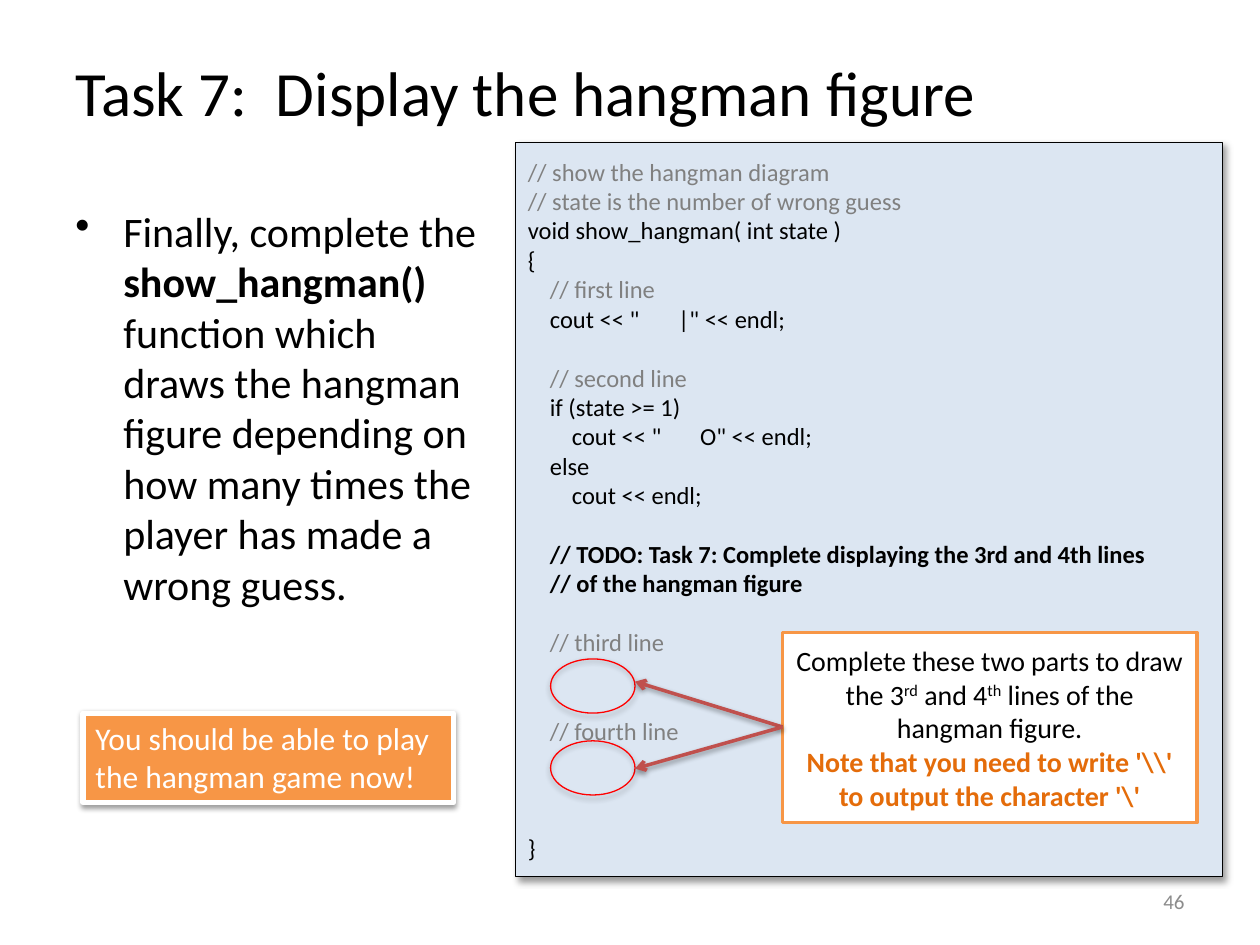
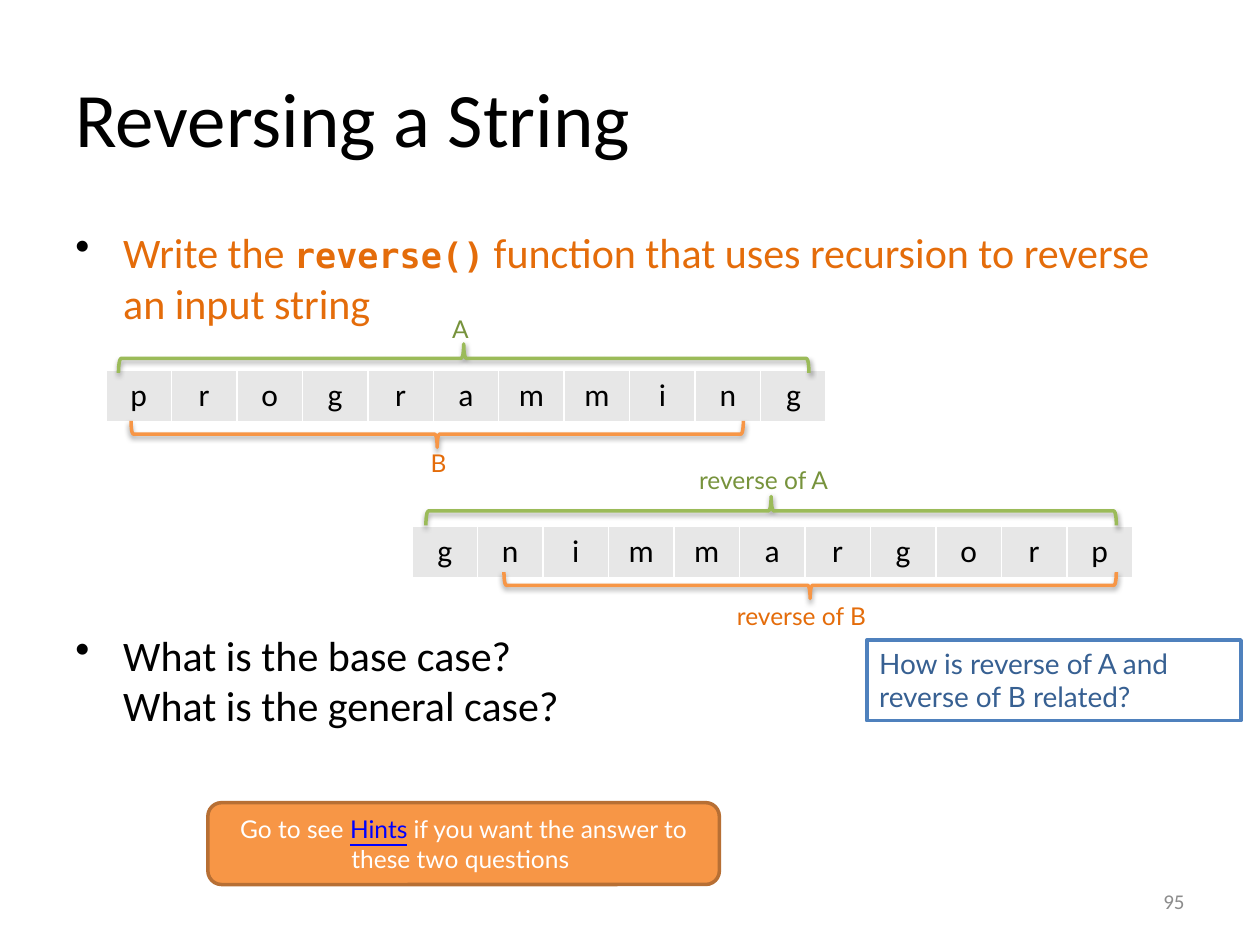
from lxml import etree
from pptx import Presentation
from pptx.dml.color import RGBColor
from pptx.enum.shapes import MSO_CONNECTOR, MSO_SHAPE
from pptx.enum.text import MSO_ANCHOR, MSO_AUTO_SIZE, PP_ALIGN
from pptx.oxml.ns import qn
from pptx.util import Inches, Pt

LEFT, CENTER, RIGHT = PP_ALIGN.LEFT, PP_ALIGN.CENTER, PP_ALIGN.RIGHT
TOP, MIDDLE = MSO_ANCHOR.TOP, MSO_ANCHOR.MIDDLE
GROW, FIXED = MSO_AUTO_SIZE.SHAPE_TO_FIT_TEXT, MSO_AUTO_SIZE.NONE
RECT, ROUND_RECT = MSO_SHAPE.RECTANGLE, MSO_SHAPE.ROUNDED_RECTANGLE
OVAL, BRACE = MSO_SHAPE.OVAL, MSO_SHAPE.LEFT_BRACE
STRAIGHT = MSO_CONNECTOR.STRAIGHT

COLORS = {
    "black": "000000",
    "white": "FFFFFF",
    "page_number": "8C8C8C",
    "comment": "808080",
    "code_fill": "DCE6F2",
    "cell_fill": "E7E7E7",
    "red": "FF0000",
    "arrow": "C0504D",
    "orange": "F79646",
    "orange_text": "E46C0A",
    "orange_edge": "B76F34",
    "green": "9BBB59",
    "green_text": "77933C",
    "blue": "4F81BD",
    "blue_text": "376092",
    "link": "0000FF",
}
BODY_FONT, LABEL_FONT, MONO_FONT = "Calibri", "Lato", "DejaVu Sans Mono"
SOFT_SHADOW = {"opacity": 38, "blur": 3.1, "distance": 1.6, "angle": 90}
OVAL_SHADOW = {"opacity": 35, "blur": 3.1, "distance": 1.8, "angle": 90}
CODE_SHADOW = {"opacity": 40, "blur": 4, "distance": 3, "angle": 45}
CODE_LINE, CODE_INDENT = 16.8, 0.175
BODY_INDENT = 0.38
CELL_SIZE = (0.52, 0.4)
WORD = "programming"

CODE = [
    (0, 0, "// show the hangman diagram", "comment"),
    (0, 0, "// state is the number of wrong guess", "comment"),
    (0, 0, "void show_hangman( int state )", "plain"),
    (0, 0, "{", "plain"),
    (0, 1, "// first line", "comment"),
    (0, 1, 'cout << "       |" << endl;', "plain"),
    (1, 1, "// second line", "comment"),
    (0, 1, "if (state >= 1)", "plain"),
    (0, 2, 'cout << "       O" << endl;', "plain"),
    (0, 1, "else", "plain"),
    (0, 2, "cout << endl;", "plain"),
    (1, 1, "// TODO: Task 7: Complete displaying the 3rd and 4th lines", "task"),
    (0, 1, "// of the hangman figure", "task"),
    (1, 1, "// third line", "comment"),
    (2, 1, "// fourth line", "comment"),
    (3, 0, "}", "plain"),
]
CODE_STYLES = {
    "plain": {},
    "comment": {"color": "comment"},
    "task": {"bold": True},
}


def rgb(color):
    return RGBColor.from_string(COLORS[color])


def area(left, top, width, height):
    return [Inches(value) for value in (left, top, width, height)]


def add_child(parent, tag, **attributes):
    child = etree.SubElement(parent, qn(tag))
    for name, value in attributes.items():
        child.set(name, str(value))
    return child


def font(size, color="black", name=BODY_FONT, **extra):
    return {"size": Pt(size), "color": color, "name": name, **extra}


def span(text, **changes):
    return text, changes


def para(*spans, **layout):
    return spans, layout


def format_run(run, values):
    for name, value in values.items():
        if name == "color":
            run.font.color.rgb = rgb(value)
        elif name == "baseline":
            run._r.get_or_add_rPr().set("baseline", str(value * 1000))
        else:
            setattr(run.font, name, value)


def format_para(paragraph, margin=0, bullet=False, **values):
    for name, value in values.items():
        setattr(paragraph, name, value)
    properties = paragraph._p.get_or_add_pPr()
    properties.set("marL", str(Inches(margin)))
    properties.set("indent", str(-Inches(margin) if bullet else 0))
    if bullet:
        color = add_child(properties, "a:buClr")
        add_child(color, "a:srgbClr", val=COLORS["black"])
        add_child(properties, "a:buChar", char="•")


def write_text(box, paras, base, alignment=LEFT, **frame_values):
    frame = box.text_frame
    settings = {"word_wrap": True, "auto_size": FIXED, "vertical_anchor": TOP}
    for name, value in {**settings, **frame_values}.items():
        setattr(frame, name, value)
    for index, (spans, layout) in enumerate(paras):
        paragraph = frame.add_paragraph() if index else frame.paragraphs[0]
        format_para(paragraph, **{"alignment": alignment, **layout})
        for text, changes in spans:
            if text == "\n":
                paragraph.add_line_break()
                continue
            run = paragraph.add_run()
            run.text = text
            format_run(run, {**base, **changes})


def add_text(page, place, paras, base, **settings):
    box = page.shapes.add_textbox(*area(*place))
    write_text(box, paras, base, **settings)


def set_shadow(shape, opacity, blur, distance, angle):
    effects = shape._element.spPr.find(qn("a:effectLst"))
    if effects is None:
        effects = add_child(shape._element.spPr, "a:effectLst")
    shadow = add_child(
        effects, "a:outerShdw", blurRad=Pt(blur), dist=Pt(distance),
        dir=angle * 60000, rotWithShape=0)
    color = add_child(shadow, "a:srgbClr", val=COLORS["black"])
    add_child(color, "a:alpha", val=opacity * 1000)


def set_line(shape, color, width):
    shape.line.color.rgb = rgb(color)
    shape.line.width = Pt(width)


def add_figure(page, kind, place, line, width, fill=None, shadow=None):
    shape = page.shapes.add_shape(kind, *area(*place))
    shape.shadow.inherit = False
    if fill:
        shape.fill.solid()
        shape.fill.fore_color.rgb = rgb(fill)
    else:
        shape.fill.background()
    set_line(shape, line, width)
    if shadow:
        set_shadow(shape, **shadow)
    return shape


def add_arrow(page, start, end):
    arrow = page.shapes.add_connector(
        STRAIGHT, *[Inches(value) for value in (*start, *end)])
    set_line(arrow, "arrow", 2)
    add_child(arrow.line._get_or_add_ln(), "a:headEnd", type="arrow")
    set_shadow(arrow, **SOFT_SHADOW)


def add_brace(page, place, color, rotation):
    left, top, width, height = place
    unrotated = (left + (width - height) / 2, top + (height - width) / 2, height, width)
    brace = add_figure(page, BRACE, unrotated, color, 2, shadow=SOFT_SHADOW)
    brace.rotation = rotation


def add_label(page, place, text, color):
    add_text(page, place, [para(span(text))], font(14, color, LABEL_FONT),
             word_wrap=False, auto_size=GROW)


def set_borders(cell):
    properties = cell._tc.get_or_add_tcPr()
    for index, side in enumerate(("a:lnL", "a:lnR", "a:lnT", "a:lnB")):
        border = add_child(properties, side, w=Pt(1))
        add_child(add_child(border, "a:solidFill"), "a:srgbClr", val=COLORS["white"])
        properties.insert(index, border)


def add_letters(page, left, top, word):
    width, height = CELL_SIZE
    frame = page.shapes.add_table(
        1, len(word), *area(left, top, width * len(word), height))
    table = frame.table
    table.first_row = table.horz_banding = False
    for cell, letter in zip(table.rows[0].cells, word):
        cell.fill.solid()
        cell.fill.fore_color.rgb = rgb("cell_fill")
        set_borders(cell)
        paragraph = cell.text_frame.paragraphs[0]
        paragraph.alignment = CENTER
        run = paragraph.add_run()
        run.text = letter
        format_run(run, font(18))


def add_page(deck, title, title_top, title_size, number):
    page = deck.slides.add_slide(deck.slide_layouts[6])
    add_text(page, (0.5, title_top, 9, 1.25), [para(span(title))],
             font(title_size), vertical_anchor=MIDDLE)
    add_text(page, (7.17, 6.95, 2.33, 0.4), [para(span(number))],
             font(12, "page_number"), alignment=RIGHT, vertical_anchor=MIDDLE)
    return page


def bullet(*spans, space_before=4.8):
    return para(*spans, margin=BODY_INDENT, bullet=True, space_before=Pt(space_before))


def build_hangman_page(deck):
    page = add_page(deck, "Task 7:  Display the hangman figure", 0.1, 36, "46")
    add_text(page, (0.5, 1.58, 3.41, 5.12), [bullet(
        span("Finally, complete the "),
        span("show_hangman() ", bold=True),
        span("function which draws the hangman figure depending on how many "
             "times the player has made a wrong guess."))], font(24))

    code_box = add_figure(page, RECT, (4.09, 1.13, 5.61, 5.83), "black", 0.75,
                          "code_fill", CODE_SHADOW)
    lines = [para(span(text, **CODE_STYLES[style]), margin=level * CODE_INDENT,
                  space_before=Pt(gap * CODE_LINE))
             for gap, level, text, style in CODE]
    write_text(code_box, lines, font(14), vertical_anchor=MIDDLE)

    callout = add_figure(page, RECT, (6.21, 5.02, 3.29, 1.51), "orange", 2, "white")
    write_text(callout, [
        para(span("Complete these two parts to draw the 3"),
             span("rd", baseline=30), span(" and 4"), span("th", baseline=30),
             span(" lines of the hangman figure.")),
        para(span("Note that you need to write '\\\\' to output the character '\\'",
                  color="orange_text", bold=True)),
    ], font(16), alignment=CENTER, vertical_anchor=MIDDLE)

    for oval_top, arrow_top in ((5.23, 5.41), (5.88, 6.1)):
        add_figure(page, OVAL, (4.37, oval_top, 0.67, 0.43), "red", 0.75,
                   shadow=OVAL_SHADOW)
        add_arrow(page, (5.04, arrow_top), (6.21, 5.77))

    done_box = add_figure(page, RECT, (0.66, 5.66, 2.94, 0.71), "white", 3,
                          "orange", SOFT_SHADOW)
    write_text(done_box, [para(span("You should be able to play")),
                          para(span("the hangman game now!"))],
               font(18, "white"), word_wrap=False, auto_size=GROW)


def build_reverse_page(deck):
    page = add_page(deck, "Reversing a String", 0.3, 44, "95")
    add_text(page, (0.5, 1.75, 9, 4.95), [
        bullet(span("Write the ", color="orange_text"),
               span("reverse()", color="orange_text", size=Pt(20),
                    name=MONO_FONT, bold=True),
               span(" function that uses recursion to reverse an input string",
                    color="orange_text")),
        bullet(span("What is the base case? "), span("\n"),
               span("What is the general case?"), space_before=172.3),
    ], font(24))

    add_letters(page, 0.84, 2.94, WORD)
    add_letters(page, 3.27, 4.18, WORD[::-1])
    for left, top in ((0.94, 2.73), (3.38, 3.94)):
        add_brace(page, (left, top, 5.48, 0.23), "green", 90)
    for left, top in ((1.04, 3.34), (4, 4.54)):
        add_brace(page, (left, top, 4.86, 0.21), "orange", 270)
    add_label(page, (3.49, 2.44, 0.36, 0.34), "A", "green_text")
    add_label(page, (3.32, 3.51, 0.36, 0.34), "B", "orange_text")
    add_label(page, (5.45, 3.64, 1.44, 0.34), "reverse of A", "green_text")
    add_label(page, (5.75, 4.72, 1.43, 0.34), "reverse of B", "orange_text")

    question = add_figure(page, RECT, (6.88, 5.08, 2.97, 0.64), "blue", 2, "white")
    write_text(question, [para(span("How is reverse of A and reverse of B related?"))],
               font(16, "blue_text", LABEL_FONT), auto_size=GROW)
    hint = add_figure(page, ROUND_RECT, (1.65, 6.37, 4.06, 0.65), "orange_edge", 2, "orange")
    write_text(hint, [para(
        span("Go to see "), span("Hints", color="link", underline=True),
        span(" if you want the answer to these two questions "))],
        font(14, "white", LABEL_FONT), alignment=CENTER, vertical_anchor=MIDDLE)


def main():
    deck = Presentation()
    deck.slide_width, deck.slide_height = Inches(10), Inches(7.5)
    build_hangman_page(deck)
    build_reverse_page(deck)
    deck.save("out.pptx")


if __name__ == "__main__":
    main()
